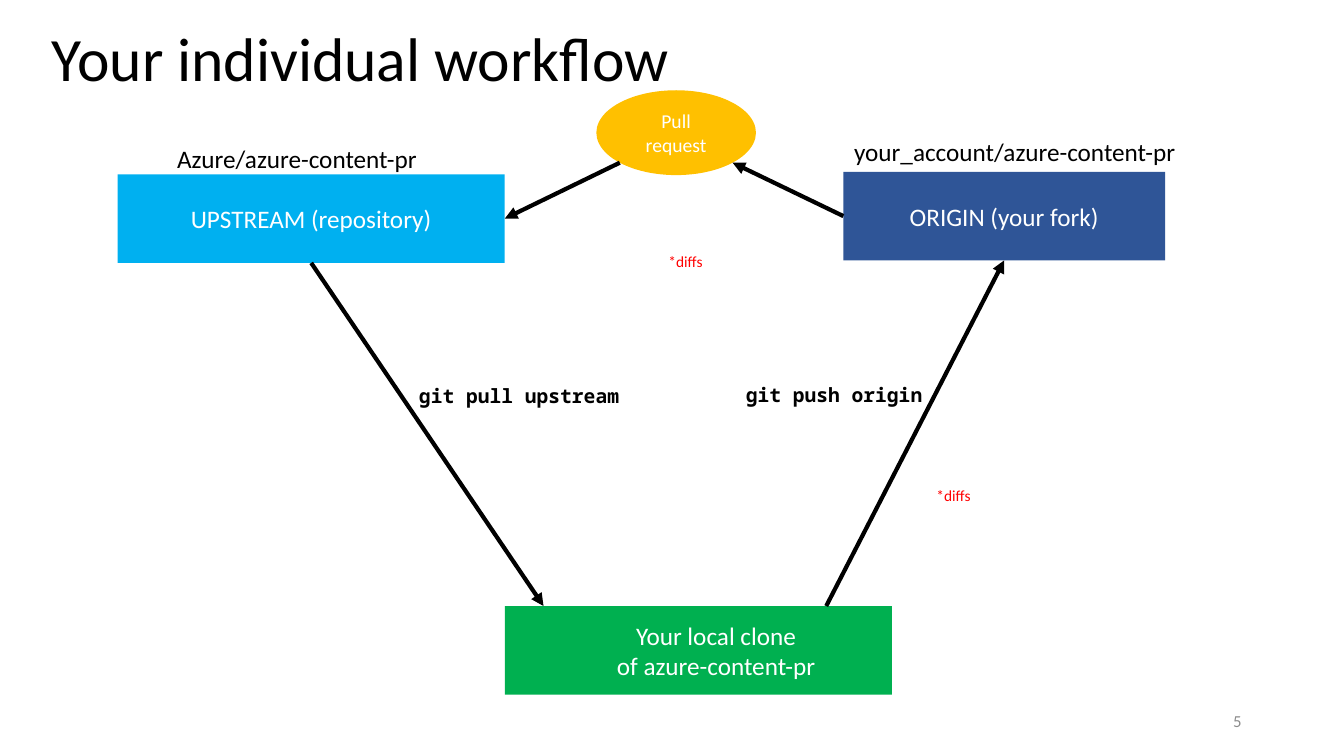
from dataclasses import dataclass
from math import sqrt

from lxml import etree
from pptx import Presentation
from pptx.dml.color import RGBColor
from pptx.enum.shapes import MSO_CONNECTOR, MSO_SHAPE
from pptx.enum.text import MSO_ANCHOR, PP_ALIGN
from pptx.oxml.ns import qn
from pptx.util import Inches, Pt

RECTANGLE, OVAL = MSO_SHAPE.RECTANGLE, MSO_SHAPE.OVAL
STRAIGHT = MSO_CONNECTOR.STRAIGHT
LEFT, CENTER, RIGHT = PP_ALIGN.LEFT, PP_ALIGN.CENTER, PP_ALIGN.RIGHT
TOP, MIDDLE = MSO_ANCHOR.TOP, MSO_ANCHOR.MIDDLE
SITE_BOTTOM, SITE_LEFT, SITE_RIGHT = 2, 1, 3

COLUMNS, ROWS = 160, 90
CELL = Inches(1 / 12)


@dataclass(frozen=True)
class Theme:
    body_font: str = "Calibri"
    code_font: str = "Noto Sans Mono"
    ink: str = "000000"
    light: str = "FFFFFF"
    muted: str = "8C8C8C"
    alert: str = "FF0000"
    upstream: str = "00B0F0"
    origin: str = "2F5597"
    clone: str = "00B050"
    request: str = "FFC000"
    title_size: int = 44
    body_size: int = 18
    label_size: int = 14
    number_size: int = 12
    note_size: int = 11
    arrow_width: int = 3


THEME = Theme()


@dataclass(frozen=True)
class Box:
    """A rectangle in grid columns and rows."""
    left: float
    top: float
    width: float
    height: float

    def lengths(self):
        return [cells(n) for n in (self.left, self.top, self.width, self.height)]

    def point(self, across, down):
        """The point at the given shares of the width and height."""
        return self.left + across * self.width, self.top + down * self.height


def cells(count):
    return round(count * CELL)


def write(shape, text, *, size=THEME.body_size, color=THEME.ink, font=THEME.body_font,
          bold=False, align=LEFT, anchor=TOP, spacing=1.0, indent=0):
    frame = shape.text_frame
    frame.word_wrap = True
    frame.vertical_anchor = anchor
    frame.margin_left += cells(indent)
    paragraph = frame.paragraphs[0]
    paragraph.text = text
    paragraph.alignment = align
    paragraph.line_spacing = spacing
    for run in paragraph.runs:
        run.font.name = font
        run.font.size = Pt(size)
        run.font.bold = bold
        run.font.color.rgb = RGBColor.from_string(color)


def add_text(slide, box, text, **text_format):
    write(slide.shapes.add_textbox(*box.lengths()), text, **text_format)


def add_node(slide, box, text, fill, kind=RECTANGLE, **text_format):
    shape = slide.shapes.add_shape(kind, *box.lengths())
    shape.shadow.inherit = False
    shape.fill.solid()
    shape.fill.fore_color.rgb = RGBColor.from_string(fill)
    shape.line.fill.background()
    write(shape, text, color=THEME.light, align=CENTER, anchor=MIDDLE, **text_format)
    return shape


def add_repository(slide, box, text, fill, caption, caption_box):
    """A remote repository; caption_box is measured from its top left corner."""
    left, top = box.left + caption_box.left, box.top + caption_box.top
    add_text(slide, Box(left, top, caption_box.width, caption_box.height), caption)
    return add_node(slide, box, text, fill)


def add_arrow(slide, start, end, begin_site=None, end_site=None):
    """An arrow between grid points; each site is a (shape, side) to join."""
    arrow = slide.shapes.add_connector(STRAIGHT, *map(cells, start + end))
    if begin_site:
        arrow.begin_connect(*begin_site)
    if end_site:
        arrow.end_connect(*end_site)
    arrow.line.width = Pt(THEME.arrow_width)
    arrow.line.color.rgb = RGBColor.from_string(THEME.ink)
    etree.SubElement(arrow.line._get_or_add_ln(), qn("a:tailEnd"), type="triangle")
    etree.SubElement(arrow._element.spPr, qn("a:effectLst"))


def add_frame(slide, box):
    """Title and slide number."""
    add_text(slide, Box(box.left + 5, box.top + 1.3, 111.6, 12), "Your individual workflow",
             size=THEME.title_size, anchor=MIDDLE, spacing=0.9)
    add_text(slide, Box(box.left + 113, box.top + 83.4, 36, 4.8), "5",
             size=THEME.number_size, color=THEME.muted, align=RIGHT, anchor=MIDDLE)


def add_workflow(slide, box):
    """Repositories, pull request and the arrows that link them."""
    def place(left, top, width, height):
        return Box(box.left + left, box.top + top, width, height)

    upstream_box = place(0, 12.8 - 2.8, 46.1, 10.55)
    origin_box = place(86.4, 9.7, 38.3, 10.55)
    clone_box = place(46.1, 61.4, 46.1, 10.55)
    request_box = place(57, 0, 19, 10.1)

    upstream = add_repository(slide, upstream_box, "UPSTREAM (repository)", THEME.upstream,
                              "Azure/azure-content-pr", Box(5.9, -4.3, 38, 4.8))
    origin = add_repository(slide, origin_box, "ORIGIN (your fork)", THEME.origin,
                            "your_account/azure-content-pr", Box(0.1, -4.8, 44.5, 4.8))
    add_node(slide, clone_box, "Your local clone\vof azure-content-pr", THEME.clone, indent=4.2)
    add_node(slide, request_box, "Pull request", THEME.request, OVAL, size=THEME.label_size)

    diagonal = sqrt(0.5) / 2
    request_left = request_box.point(0.5 - diagonal, 0.5 + diagonal)
    request_right = request_box.point(0.5 + diagonal, 0.5 + diagonal)
    add_arrow(slide, upstream_box.point(0.5, 1), clone_box.point(0.1, 0),
              begin_site=(upstream, SITE_BOTTOM))
    add_arrow(slide, clone_box.point(0.83, 0), origin_box.point(0.5, 1),
              end_site=(origin, SITE_BOTTOM))
    add_arrow(slide, origin_box.point(0, 0.5), request_right, begin_site=(origin, SITE_LEFT))
    add_arrow(slide, request_left, upstream_box.point(1, 0.5), end_site=(upstream, SITE_RIGHT))

    for left, top, width, command in ((34.7, 34.4, 30.8, "git pull upstream"),
                                      (73.6, 34.2, 26.5, "git push origin")):
        add_text(slide, place(left, top, width, 4), command, size=THEME.label_size,
                 font=THEME.code_font, bold=True)
    for left, top in ((96.3, 46.5), (64.4, 18.7)):
        add_text(slide, place(left, top, 7.5, 3.5), "*diffs", size=THEME.note_size,
                 color=THEME.alert)


def main():
    presentation = Presentation()
    presentation.slide_width = cells(COLUMNS)
    presentation.slide_height = cells(ROWS)
    slide = presentation.slides.add_slide(presentation.slide_layouts[6])
    add_frame(slide, Box(0, 0, COLUMNS, ROWS))
    add_workflow(slide, Box(14, 10.75, 125, 72))
    presentation.save("out.pptx")


if __name__ == "__main__":
    main()
